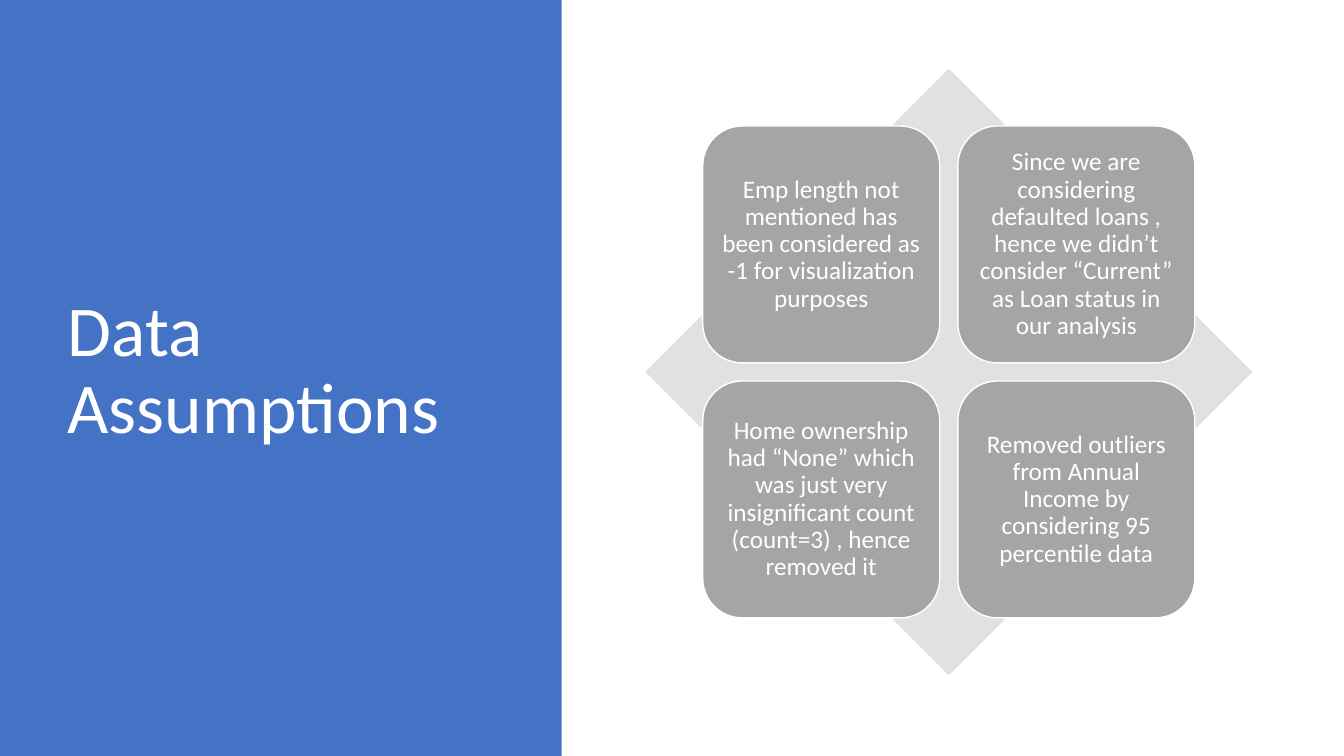
from dataclasses import dataclass

from pptx import Presentation
from pptx.dml.color import RGBColor
from pptx.enum.shapes import MSO_SHAPE
from pptx.enum.text import MSO_ANCHOR, MSO_AUTO_SIZE, PP_ALIGN
from pptx.util import Pt

RECTANGLE = MSO_SHAPE.RECTANGLE
DIAMOND = MSO_SHAPE.DIAMOND
ROUNDED = MSO_SHAPE.ROUNDED_RECTANGLE
MIDDLE = MSO_ANCHOR.MIDDLE
NO_FIT = MSO_AUTO_SIZE.NONE
LEFT = PP_ALIGN.LEFT
CENTER = PP_ALIGN.CENTER

EMU_PER_PX = 9144
SLIDE_WIDTH, SLIDE_HEIGHT = 1333, 750
TITLE_ONLY_LAYOUT = 5

DIAMOND_LEFT, DIAMOND_TOP, DIAMOND_SIZE = 640, 68, 602
CARD_SIZE, CARD_STEP, CARD_INSET = 235, 253, 7
CARD_MARGIN = (DIAMOND_SIZE - CARD_SIZE - CARD_STEP) // 2

ASSUMPTIONS = [
    "Emp length not mentioned has been considered as -1 for visualization purposes",
    "Since we are considering defaulted loans , hence we didn’t consider “Current” as Loan status in our analysis",
    "Home ownership had “None” which was just very insignificant count (count=3) , hence removed it",
    "Removed outliers from Annual Income by considering 95 percentile data",
]


@dataclass(frozen=True)
class Theme:
    font: str = "Calibri"
    panel: RGBColor = RGBColor(0x44, 0x72, 0xC4)
    diamond: RGBColor = RGBColor(0xE1, 0xE1, 0xE1)
    card: RGBColor = RGBColor(0xA5, 0xA5, 0xA5)
    light: RGBColor = RGBColor(0xFF, 0xFF, 0xFF)
    title_size: int = 51
    card_size: int = 18
    card_line: int = 1


THEME = Theme()


def px(length):
    return length * EMU_PER_PX


def add_block(shapes, kind, left, top, width, height, fill):
    block = shapes.add_shape(kind, px(left), px(top), px(width), px(height))
    block.shadow.inherit = False
    block.fill.solid()
    block.fill.fore_color.rgb = fill
    block.line.fill.background()
    return block


def write_text(shape, text, size, alignment):
    frame = shape.text_frame
    frame.text = text
    frame.word_wrap = True
    frame.auto_size = NO_FIT
    frame.vertical_anchor = MIDDLE
    para = frame.paragraphs[0]
    para.alignment = alignment
    para.line_spacing = 0.9
    para.font.name = THEME.font
    para.font.size = Pt(size)
    para.font.color.rgb = THEME.light
    return frame


def place_title(slide, text):
    title = slide.shapes.title
    title.left, title.top = px(57), px(68)
    title.width, title.height = px(416), px(602)
    write_text(title, text, THEME.title_size, LEFT)


def add_panel(slide):
    panel = add_block(slide.shapes, RECTANGLE, 0, 0, 557, SLIDE_HEIGHT, THEME.panel)
    slide.shapes.title.element.addprevious(panel.element)


def add_card(shapes, left, top, text):
    card = add_block(shapes, ROUNDED, left, top, CARD_SIZE, CARD_SIZE, THEME.card)
    card.line.color.rgb = THEME.light
    card.line.width = Pt(THEME.card_line)
    frame = write_text(card, text, THEME.card_size, CENTER)
    frame.margin_left = frame.margin_right = px(CARD_INSET)
    frame.margin_top = frame.margin_bottom = px(CARD_INSET)


def add_matrix(slide, texts):
    shapes = slide.shapes.add_group_shape().shapes
    add_block(shapes, DIAMOND, DIAMOND_LEFT, DIAMOND_TOP, DIAMOND_SIZE, DIAMOND_SIZE, THEME.diamond)
    for index, text in enumerate(texts):
        row, column = divmod(index, 2)
        left = DIAMOND_LEFT + CARD_MARGIN + column * CARD_STEP
        top = DIAMOND_TOP + CARD_MARGIN + row * CARD_STEP
        add_card(shapes, left, top, text)


def main():
    deck = Presentation()
    deck.slide_width, deck.slide_height = px(SLIDE_WIDTH), px(SLIDE_HEIGHT)
    slide = deck.slides.add_slide(deck.slide_layouts[TITLE_ONLY_LAYOUT])
    add_panel(slide)
    place_title(slide, "Data Assumptions")
    add_matrix(slide, ASSUMPTIONS)
    deck.save("out.pptx")


if __name__ == "__main__":
    main()
